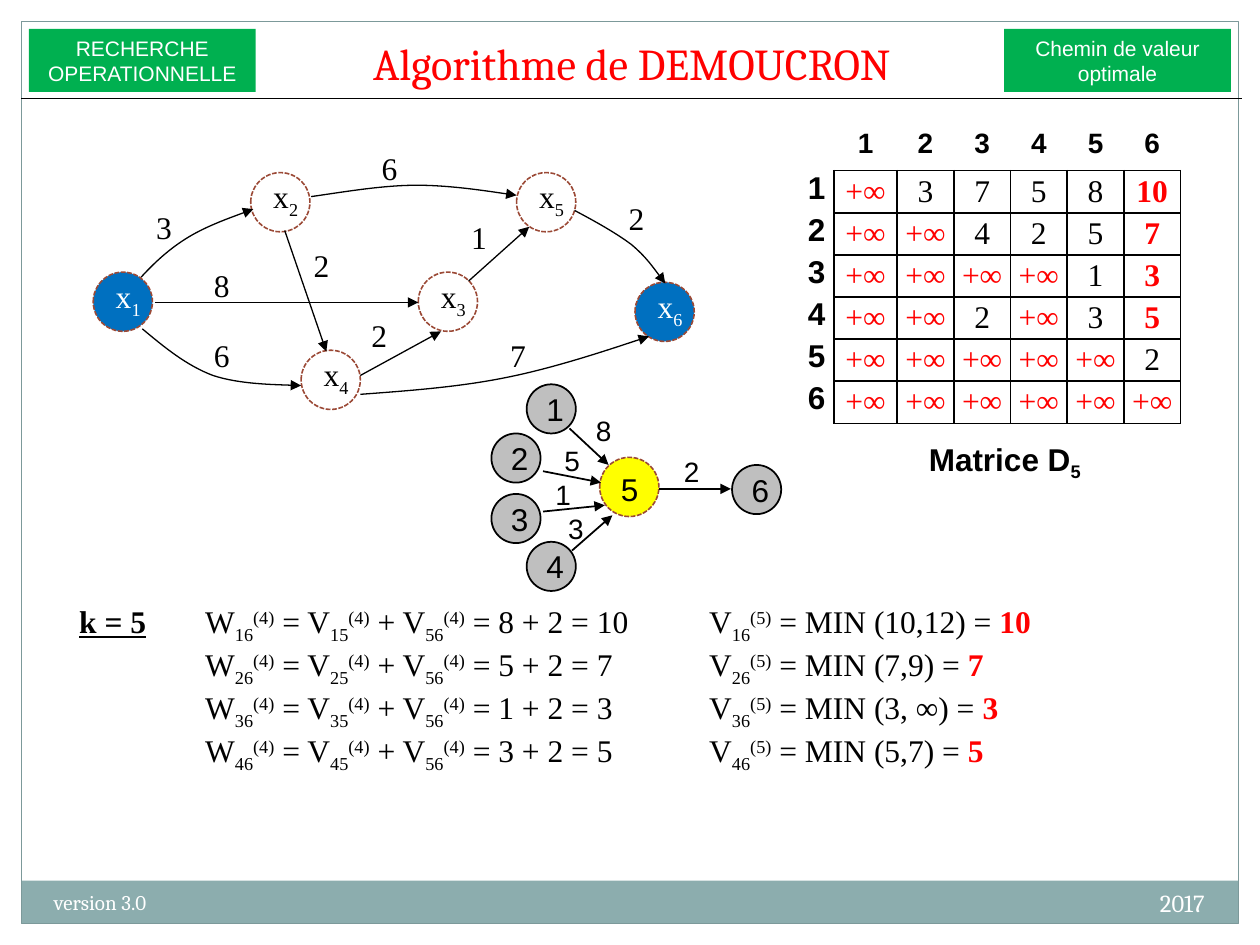
from lxml import etree
from pptx import Presentation
from pptx.dml.color import RGBColor
from pptx.enum import dml, shapes, text
from pptx.oxml import ns
from pptx.util import Inches, Pt

BLACK, WHITE = RGBColor(0, 0, 0), RGBColor(255, 255, 255)
RED, GREEN = RGBColor(255, 0, 0), RGBColor(0, 176, 80)
BLUE, YELLOW = RGBColor(0, 112, 192), RGBColor(255, 255, 0)
GREY, BROWN = RGBColor(191, 191, 191), RGBColor(155, 73, 54)
BAND, FRAME = RGBColor(140, 173, 174), RGBColor(124, 153, 154)
SERIF, SANS, HEADING = "Times New Roman", "Arial", "Cambria"
CENTER, RIGHT = text.PP_ALIGN.CENTER, text.PP_ALIGN.RIGHT
SUB, SUPER = -25, 30
NODE, SMALL_NODE = 0.47, 0.39


def add_span(para, words, size, font, color=BLACK, bold=False, shift=0):
    span = para.add_run()
    span.text = words
    span.font.size, span.font.name, span.font.bold = Pt(size), font, bold
    span.font.color.rgb = color
    if shift:
        span.font._element.set("baseline", str(shift * 1000))
    return span


def add_label(page, box, words, size=18, font=SERIF, color=BLACK, bold=False, sub="", align=None):
    label = page.shapes.add_textbox(*map(Inches, box))
    label.text_frame.word_wrap = True
    para = label.text_frame.paragraphs[0]
    para.alignment = align
    add_span(para, words, size, font, color, bold)
    if sub:
        add_span(para, sub, size, font, color, bold, SUB)


def add_panel(page, kind, box, fill=None, line=None, width=0.75, dashed=False):
    panel = page.shapes.add_shape(kind, *map(Inches, box))
    panel.shadow.inherit = False
    if fill is None:
        panel.fill.background()
    else:
        panel.fill.solid()
        panel.fill.fore_color.rgb = fill
    if line is None:
        panel.line.fill.background()
    else:
        panel.line.color.rgb, panel.line.width = line, Pt(width)
    if dashed:
        panel.line.dash_style = dml.MSO_LINE.SQUARE_DOT
    return panel


def finish_line(line, width, arrow):
    line.line.color.rgb, line.line.width = BLACK, Pt(width)
    if arrow:
        etree.SubElement(line.line._get_or_add_ln(), ns.qn("a:tailEnd"), type="triangle")
    etree.SubElement(line._element.spPr, ns.qn("a:effectLst"))


def add_straight(page, start, end, width=0.75, arrow=True):
    line = page.shapes.add_connector(shapes.MSO_CONNECTOR.STRAIGHT, *map(Inches, start + end))
    finish_line(line, width, arrow)


def add_curve(page, *points):
    """Bezier arrow: a start point, then groups of two controls and an end."""
    scaled = [(Inches(x), Inches(y)) for x, y in points]
    builder = page.shapes.build_freeform(*scaled[0])
    builder.add_line_segments(scaled[1:], close=False)
    curve = builder.convert_to_shape()
    curve.fill.background()
    outline = curve._element.find(".//" + ns.qn("a:path"))
    segments = outline.findall(ns.qn("a:lnTo"))
    for first in range(0, len(segments), 3):
        bezier = etree.SubElement(outline, ns.qn("a:cubicBezTo"))
        for segment in segments[first:first + 3]:
            bezier.append(segment[0])
            outline.remove(segment)
    finish_line(curve, 0.75, True)


def add_frame(page, left, top, width, height):
    rectangle = shapes.MSO_SHAPE.RECTANGLE
    # White margins, footer band and border
    for margin in ((0, 0, 10, top), (left + width, 0, left, 7.5), (0, 0, left, 7.5)):
        add_panel(page, rectangle, margin, WHITE)
    add_panel(page, rectangle, (left, top + height - 0.34, width, 0.34), BAND)
    add_panel(page, rectangle, (left, top, width, height), line=FRAME)
    add_label(page, (6.33, 7, 3.33, 0.4), "2017", 14, HEADING, WHITE, align=RIGHT)
    add_label(page, (0.33, 7.01, 3.92, 0.4), "version 3.0", 12, HEADING, WHITE)


def add_header(page, left, top, width):
    title = page.shapes.title
    title.left, title.top, title.width, title.height = map(Inches, (left + 1.8, top, 5.97, 0.53))
    frame = title.text_frame
    frame.auto_size, frame.vertical_anchor = text.MSO_AUTO_SIZE.NONE, text.MSO_ANCHOR.BOTTOM
    frame.paragraphs[0].alignment = CENTER
    add_span(frame.paragraphs[0], "Algorithme de DEMOUCRON", 25.2, HEADING, RED)
    # Green tags at both ends
    tags = ((left, "RECHERCHE\nOPERATIONNELLE"), (left + width - 1.8, "Chemin de valeur\noptimale"))
    for x, words in tags:
        tag = add_panel(page, shapes.MSO_SHAPE.RECTANGLE, (x, top, 1.8, 0.5), GREEN)
        tag.text_frame.text = words
        tag.text_frame.vertical_anchor = text.MSO_ANCHOR.MIDDLE
        for para in tag.text_frame.paragraphs:
            para.alignment = CENTER
            font = para.runs[0].font
            font.size, font.name, font.color.rgb = Pt(12), SANS, WHITE
    add_straight(page, (0.17, 0.78), (9.86, 0.78), arrow=False)


def add_graph(page):
    # Vertices
    vertices = (("1", 0.74, 2.16), ("2", 1.99, 1.37), ("3", 3.32, 2.16),
                ("4", 2.39, 2.78), ("5", 4.1, 1.37), ("6", 5.04, 2.24))
    for index, x, y in vertices:
        terminal = index in "16"
        add_panel(page, shapes.MSO_SHAPE.OVAL, (x, y, NODE, NODE),
                  BLUE if terminal else None, BROWN, 0.9, True)
        add_label(page, (x + 0.08, y - 0.01, 0.55, 0.4), "x",
                  color=WHITE if terminal else BLACK, sub=index)
    # Arcs
    for start, end in (((1.23, 2.4), (3.32, 2.4)), ((2.26, 1.83), (2.59, 2.79)),
                       ((3.72, 2.23), (4.2, 1.8)), ((2.86, 2.98), (3.5, 2.63))):
        add_straight(page, start, end)
    add_curve(page, (1.12, 2.2), (1.23, 2.08), (1.35, 1.97), (1.5, 1.88),
              (1.65, 1.79), (2.01, 1.66), (2.01, 1.66))
    add_curve(page, (1.13, 2.61), (1.31, 2.76), (1.48, 2.9), (1.69, 2.98),
              (1.9, 3.05), (2.39, 3.06), (2.39, 3.06))
    add_curve(page, (2.47, 1.56), (2.75, 1.52), (3.04, 1.47), (3.31, 1.47),
              (3.58, 1.47), (4.1, 1.55), (4.1, 1.55))
    add_curve(page, (2.86, 3.13), (3.27, 3.1), (3.67, 3.07), (4.05, 2.99),
              (4.44, 2.91), (5.15, 2.67), (5.15, 2.67))
    add_curve(page, (4.56, 1.67), (4.73, 1.76), (4.89, 1.85), (5.01, 1.94),
              (5.13, 2.04), (5.28, 2.25), (5.28, 2.25))
    # Arc values
    for value, x, y in (("3", 1.14, 1.6), ("1", 3.64, 1.68), ("6", 1.6, 2.62),
                        ("8", 1.6, 2.06), ("6", 2.93, 1.13), ("2", 2.39, 1.9),
                        ("2", 2.85, 2.46), ("7", 3.95, 2.62), ("2", 4.89, 1.53)):
        add_label(page, (x, y, 0.47, 0.4), value)


def add_neighbours(page):
    # Vertex 5 with its predecessors and successor
    add_panel(page, shapes.MSO_SHAPE.OVAL, (4.76, 3.63, NODE, NODE), YELLOW, BROWN, 0.9, True)
    add_label(page, (4.83, 3.68, 0.46, 0.4), "5", font=SANS)
    for index, x, y in (("1", 4.18, 3.05), ("2", 3.9, 3.44), ("3", 3.9, 3.92),
                        ("4", 4.18, 4.3), ("6", 5.81, 3.69)):
        node = add_panel(page, shapes.MSO_SHAPE.OVAL, (x, y, SMALL_NODE, SMALL_NODE), GREY, BLACK, 1)
        frame = node.text_frame
        frame.word_wrap, frame.vertical_anchor = False, text.MSO_ANCHOR.MIDDLE
        frame.margin_left = Inches(0.06)
        frame.margin_top = frame.margin_right = frame.margin_bottom = 0
        frame.paragraphs[0].alignment = CENTER
        add_span(frame.paragraphs[0], index, 18, SANS)
    for start, end in (((4.52, 3.4), (4.83, 3.69)), ((4.31, 3.74), (4.77, 3.83)),
                       ((4.31, 4.06), (4.8, 4.01)), ((4.54, 4.37), (4.86, 4.09))):
        add_straight(page, start, end, 1)
    add_straight(page, (5.23, 3.88), (5.8, 3.88))
    for value, x, y in (("8", 4.63, 3.23), ("5", 4.38, 3.47), ("1", 4.31, 3.74),
                        ("3", 4.41, 4.01), ("2", 5.33, 3.56)):
        add_label(page, (x, y, 0.38, 0.37), value, 16, SANS)


def set_borders(cell, sides):
    properties = cell._tc.get_or_add_tcPr()
    for place, side in enumerate(sides):
        line = etree.Element(ns.qn("a:ln" + side), w=str(Pt(1)))
        fill = etree.SubElement(line, ns.qn("a:solidFill"))
        etree.SubElement(fill, ns.qn("a:srgbClr"), val=str(BLACK))
        properties.insert(place, line)


def add_matrix(page, left, top, width, height):
    rows = ("+∞ 3 7 5 8 10", "+∞ +∞ 4 2 5 7", "+∞ +∞ +∞ +∞ 1 3",
            "+∞ +∞ 2 +∞ 3 5", "+∞ +∞ +∞ +∞ +∞ 2", "+∞ +∞ +∞ +∞ +∞ +∞")
    grid = [["", *"123456"]] + [[str(n), *row.split()] for n, row in enumerate(rows, 1)]
    table = page.shapes.add_table(7, 7, *map(Inches, (left, top, width, height))).table
    table.first_row = table.horz_banding = False
    for column, size in zip(table.columns, [0.77, 0.5] + [0.45] * 5):
        column.width = Inches(size)
    for r, values in enumerate(grid):
        for c, value in enumerate(values):
            cell = table.cell(r, c)
            cell.fill.background()
            cell.margin_top = cell.margin_bottom = 0
            cell.margin_left = cell.margin_right = 0 if r and c else Inches(0.07)
            para = cell.text_frame.paragraphs[0]
            para.alignment = CENTER if c else RIGHT
            if r and c:
                result = c == 6 and r <= 4  # values updated at this step
                cell.vertical_anchor = text.MSO_ANCHOR.MIDDLE
                add_span(para, value, 18, SERIF, RED if result or value == "+∞" else BLACK, result)
                set_borders(cell, "LRTB")
            elif value:
                add_span(para, value, 18 if r else 16, SANS, bold=True)
                set_borders(cell, "R" if r else "B")
    add_label(page, (6.61, 3.44, 2.73, 0.4), "Matrice D", font=SANS, bold=True, sub="5", align=CENTER)


def add_calculations(page, box):
    frame = page.shapes.add_textbox(*map(Inches, box)).text_frame
    frame.word_wrap = True
    steps = ((8, 10, "10,12"), (5, 7, "7,9"), (1, 3, "3, ∞"), (3, 5, "5,7"))
    for n, (value, total, options) in enumerate(steps, 1):
        para = frame.paragraphs[0] if n == 1 else frame.add_paragraph()
        stops = etree.SubElement(para._p.get_or_add_pPr(), ns.qn("a:tabLst"))
        for place in (1, 5):
            etree.SubElement(stops, ns.qn("a:tab"), pos=str(Inches(place)), algn="l")
        if n == 1:
            add_span(para, "k = 5", 18, SERIF, bold=True).font.underline = True
        for lead, index, power in (("\tW", f"{n}6", 4), (" = V", f"{n}5", 4), (" + V", "56", 4),
                                   (f" = {value} + 2 = {total} \tV", f"{n}6", 5)):
            add_span(para, lead, 18, SERIF)
            add_span(para, index, 18, SERIF, shift=SUB)
            add_span(para, f"({power})", 18, SERIF, shift=SUPER)
        add_span(para, f" = MIN ({options}) = ", 18, SERIF)
        add_span(para, str(total), 18, SERIF, RED, True)


def main():
    deck = Presentation()
    deck.slide_width, deck.slide_height = Inches(10), Inches(7.5)
    page = deck.slides.add_slide(deck.slide_layouts[5])
    add_frame(page, 0.17, 0.17, 9.66, 7.16)
    add_header(page, 0.23, 0.23, 9.54)
    add_calculations(page, (0.53, 4.73, 8.59, 1.31))
    add_graph(page)
    add_matrix(page, 5.85, 1.02, 3.52, 2.34)
    add_neighbours(page)
    deck.save("out.pptx")


if __name__ == "__main__":
    main()
